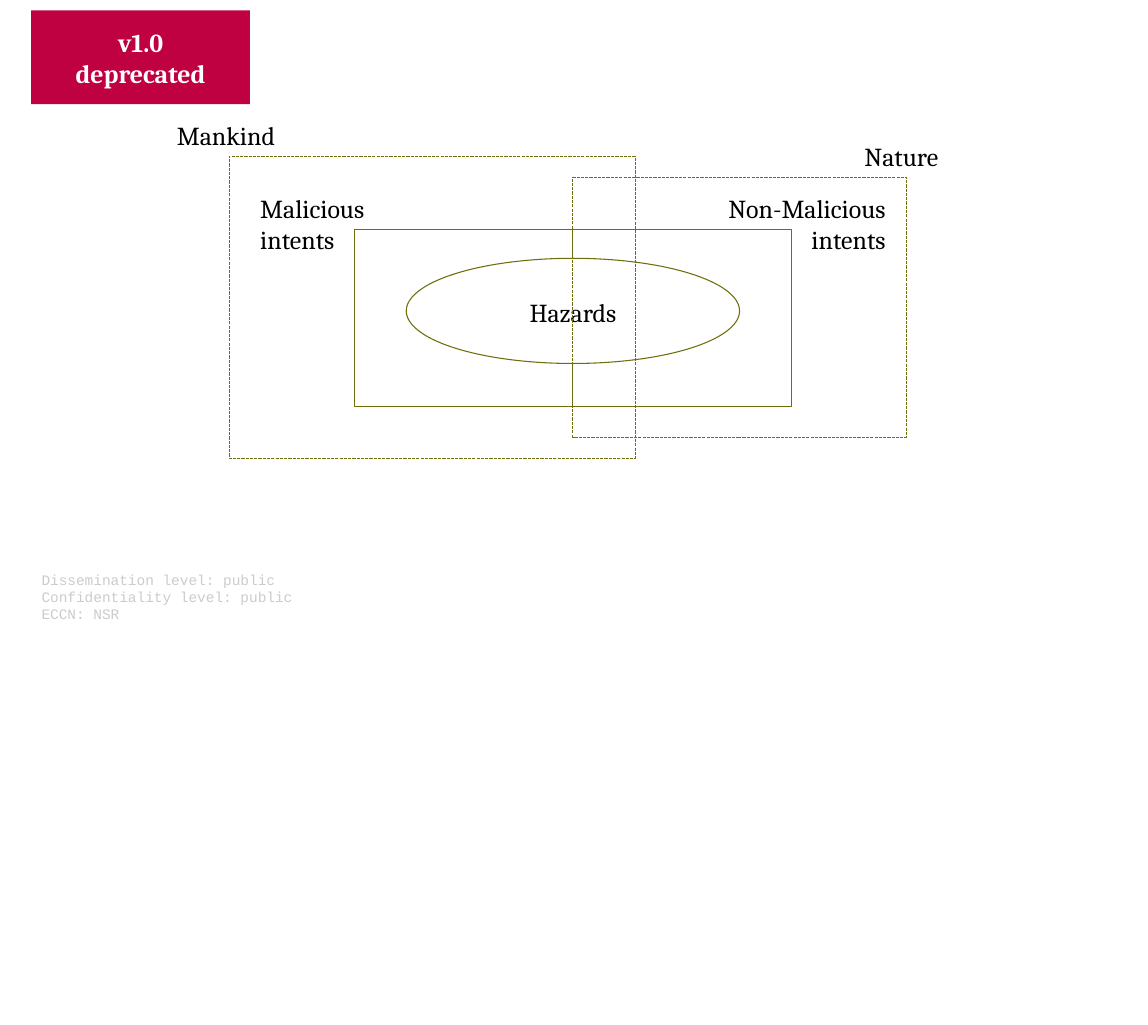
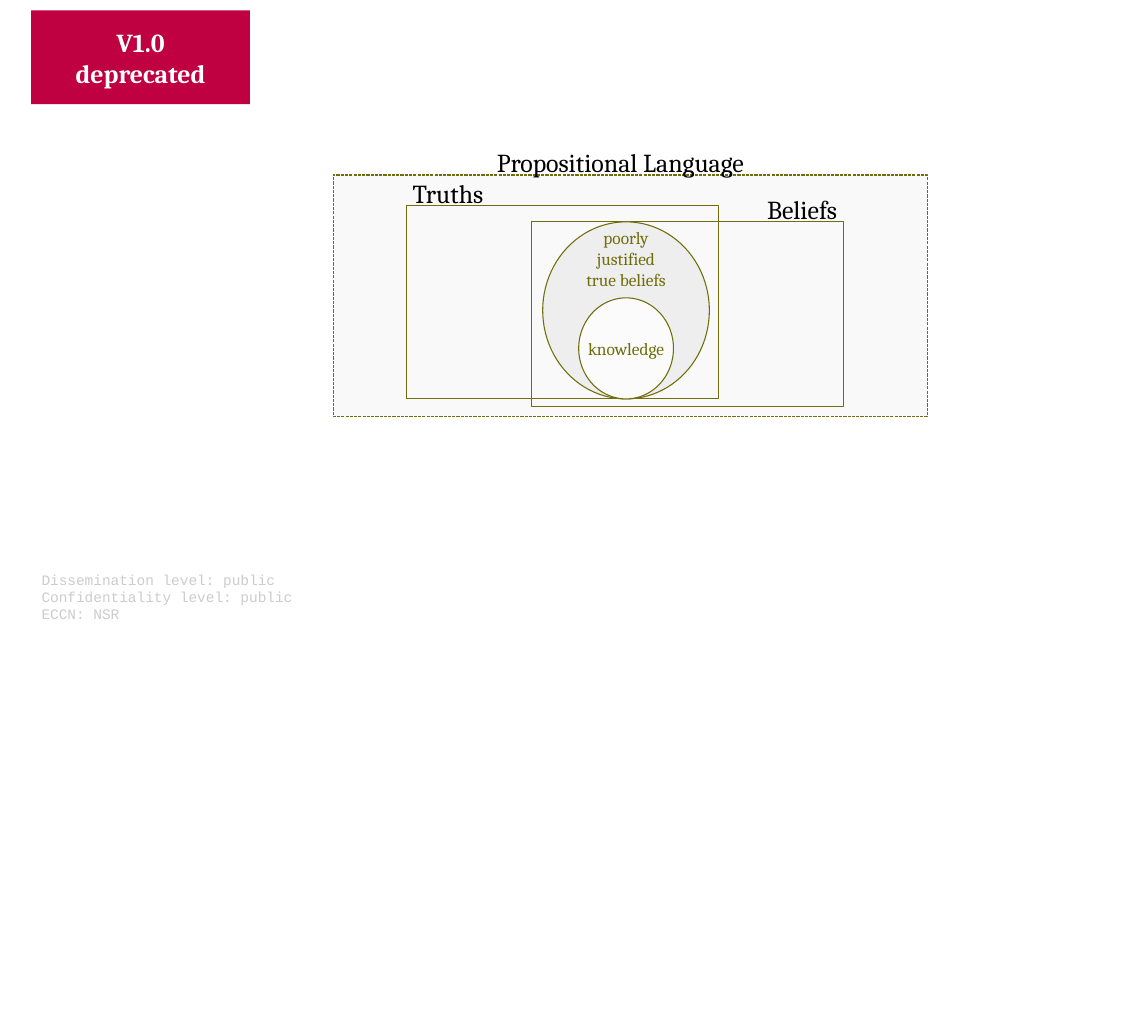
from lxml.etree import SubElement
from pptx import Presentation
from pptx.dml.color import RGBColor
from pptx.enum.dml import MSO_LINE
from pptx.enum.shapes import MSO_SHAPE
from pptx.enum.text import MSO_ANCHOR, MSO_AUTO_SIZE, PP_ALIGN
from pptx.oxml.ns import qn
from pptx.util import Inches, Pt

CRIMSON = RGBColor(0xBF, 0x00, 0x41)
OLIVE = RGBColor(0x70, 0x6E, 0x0C)
BLACK = RGBColor(0x00, 0x00, 0x00)
WHITE = RGBColor(0xFF, 0xFF, 0xFF)
PALE_GREY = RGBColor(0xF9, 0xF9, 0xF9)
LIGHT_GREY = RGBColor(0xEE, 0xEE, 0xEE)
FOOTER_GREY = RGBColor(0xCC, 0xCC, 0xCC)

CELL = 0.1  # inches per grid column and per grid row
BODY_FONT, FOOTER_FONT = "Cambria", "Courier New"
LABEL_SIZE, NOTE_SIZE, FOOTER_SIZE = 17.9, 12, 10
FOOTER_TEXT = "Dissemination level: public\nConfidentiality level: public\nECCN: NSR"


def cells(*counts):
    return [Inches(count * CELL) for count in counts]


class VennDeck:
    """Holds the presentation, its style and the slide being drawn."""

    def __init__(self):
        self.presentation = Presentation()
        self.presentation.slide_width = Inches(11.02)
        self.presentation.slide_height = Inches(9.84)
        self.slide = None

    def new_slide(self, version):
        """Start a slide with its version badge and footer."""
        blank_layout = self.presentation.slide_layouts[6]
        self.slide = self.presentation.slides.add_slide(blank_layout)
        badge = self.outline(3, 1, 21, 9, fill=CRIMSON, line=None)
        self.set_text(badge, f"{version}\ndeprecated", color=WHITE, bold=True)
        self.label(FOOTER_TEXT, 3, 54.3, 58.1, 5.8, size=FOOTER_SIZE,
                   color=FOOTER_GREY, font=FOOTER_FONT)

    def outline(self, column, row, width, height, kind=MSO_SHAPE.RECTANGLE,
                fill=None, line=OLIVE, dashed=False):
        shape = self.slide.shapes.add_shape(kind, *cells(column, row, width, height))
        shape.shadow.inherit = False
        if fill is None:
            shape.fill.background()
        else:
            shape.fill.solid()
            shape.fill.fore_color.rgb = fill
        if line is None:
            shape.line.fill.background()
        else:
            shape.line.color.rgb = line
            shape.line.width = Pt(0)
        if dashed:
            shape.line.dash_style = MSO_LINE.SQUARE_DOT
        return shape

    def ellipse(self, center, bottom, width, height, fill):
        """Draw an ellipse standing on a given row."""
        return self.outline(center - width / 2, bottom - height, width, height,
                            kind=MSO_SHAPE.OVAL, fill=fill)

    def label(self, text, column, row, width, height, align=PP_ALIGN.LEFT, **style):
        box = self.slide.shapes.add_textbox(*cells(column, row, width, height))
        self.set_text(box, text, align, **style)
        box.text_frame.word_wrap = True
        box.text_frame.vertical_anchor = MSO_ANCHOR.TOP
        box.text_frame.auto_size = MSO_AUTO_SIZE.SHAPE_TO_FIT_TEXT

    def set_text(self, shape, text, align=PP_ALIGN.CENTER, size=LABEL_SIZE,
                 color=BLACK, font=BODY_FONT, bold=False):
        frame = shape.text_frame
        frame.text = text
        frame.word_wrap = False
        frame.vertical_anchor = MSO_ANCHOR.MIDDLE
        for paragraph in frame.paragraphs:
            paragraph.alignment = align
            for run in paragraph.runs:
                run.font.name = font
                run.font.size = Pt(size)
                run.font.bold = bold
                run.font.color.rgb = color


def set_opacity(shape, percent):
    color = shape.element.spPr.find(qn("a:solidFill"))[0]
    SubElement(color, qn("a:alpha")).set("val", str(percent * 1000))


def draw_hazards(deck):
    deck.new_slide("v1.0")
    deck.label("Malicious intents", 24, 18, 15, 6.9)
    deck.label("Non-Malicious intents", 68, 18, 18, 9.7, PP_ALIGN.RIGHT)
    intent_width, middle = 21, 55
    for column in (middle - intent_width, middle):
        deck.outline(column, 22, intent_width, 17, fill=WHITE)
    deck.ellipse(middle, 34.9, 32, 10.1, WHITE)
    deck.label("Hazards", 49, 28, 12, 6.6, PP_ALIGN.CENTER)
    deck.outline(22, 15, 39, 29, dashed=True)
    deck.outline(middle, 17, 32, 25, dashed=True)
    deck.label("Nature", 82, 13, 10, 6.8)
    deck.label("Mankind", 16, 11, 12, 6.8)


def draw_knowledge(deck):
    deck.new_slide("V1.0")
    deck.outline(32, 16.8, 57, 23.2, fill=PALE_GREY, dashed=True)
    deck.label("Propositional Language", 46.7, 13.6, 27.5, 4)
    deck.outline(39, 19.7, 30, 18.6)
    deck.label("Truths", 38, 16.6, 10, 3.9, PP_ALIGN.CENTER)
    deck.outline(51, 21.3, 30, 17.7)
    deck.label("Beliefs", 72, 18.1, 10, 3.9, PP_ALIGN.CENTER)

    center, truths_bottom = 60.1, 38.3
    deck.ellipse(center, truths_bottom, 16, 17, LIGHT_GREY)
    deck.label("poorly\njustified\ntrue beliefs", center - 5, 21.3, 10, 6.8,
               PP_ALIGN.CENTER, size=NOTE_SIZE, color=OLIVE)
    knowledge = deck.ellipse(center, truths_bottom, 9.1, 9.7, WHITE)
    set_opacity(knowledge, 80)
    deck.set_text(knowledge, "knowledge", size=NOTE_SIZE, color=OLIVE)


def main():
    deck = VennDeck()
    draw_hazards(deck)
    draw_knowledge(deck)
    deck.presentation.save("out.pptx")


if __name__ == "__main__":
    main()
